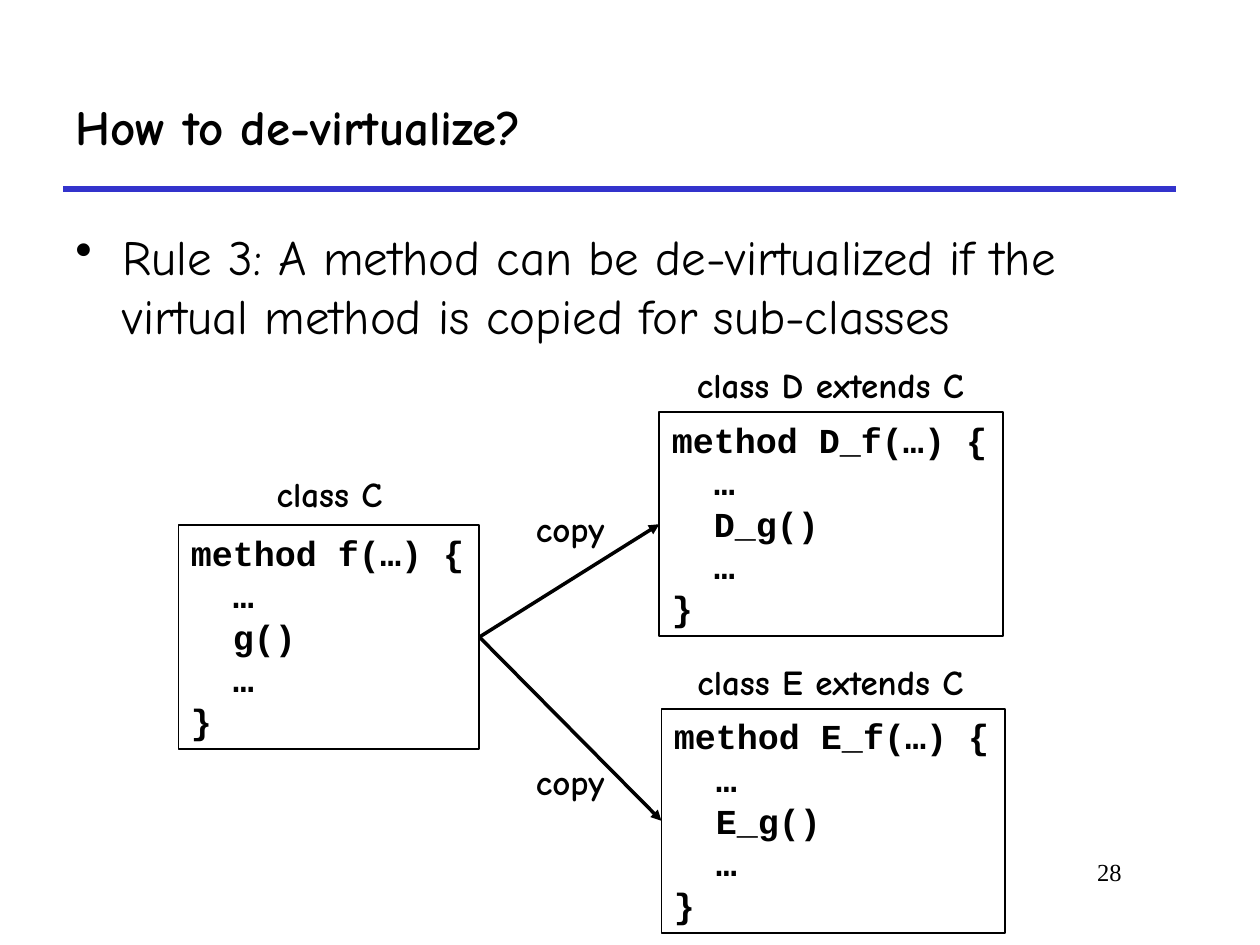
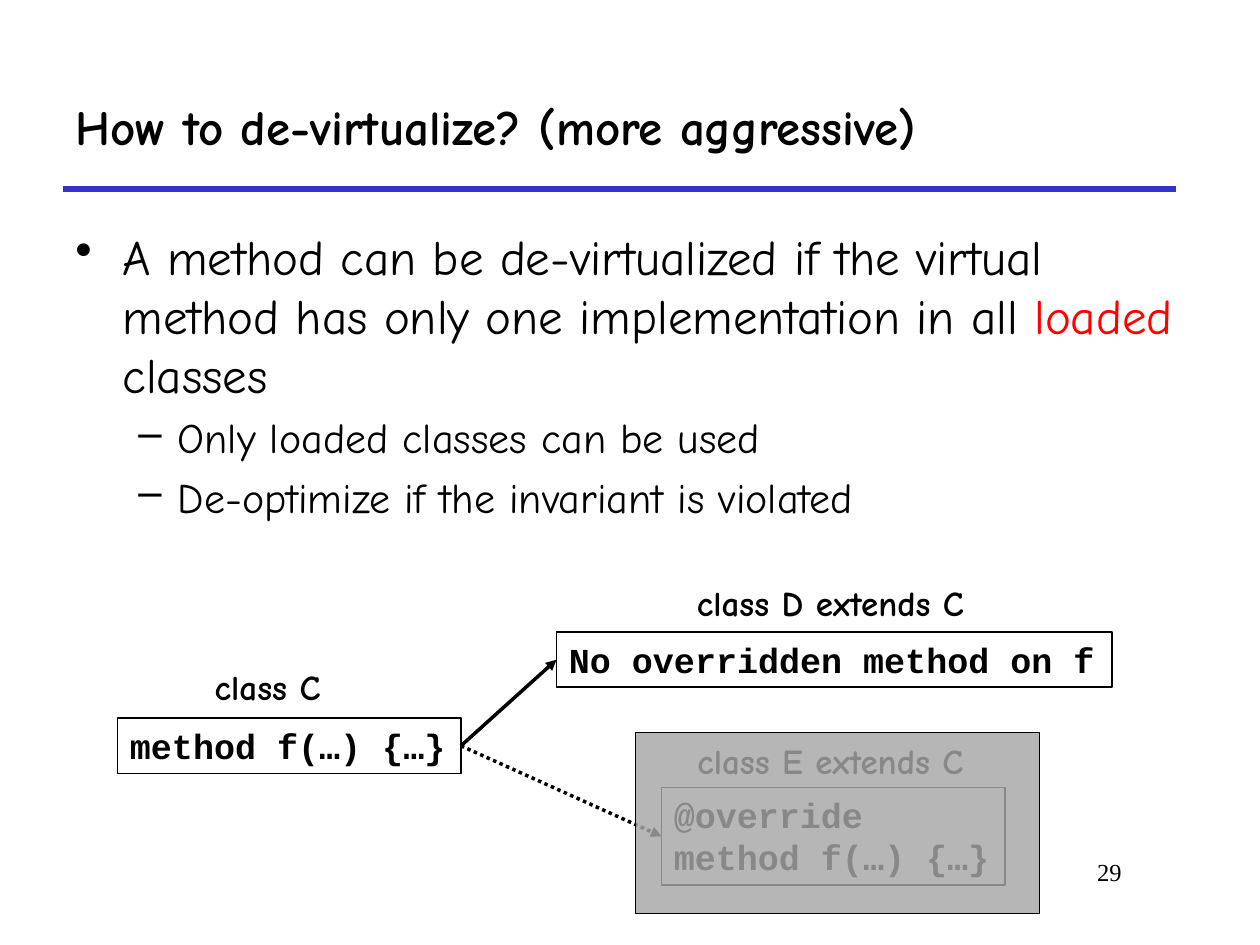
from lxml import etree
from pptx import Presentation
from pptx.dml.color import RGBColor
from pptx.enum.dml import MSO_LINE
from pptx.enum.shapes import MSO_CONNECTOR, MSO_SHAPE
from pptx.enum.text import MSO_ANCHOR, PP_ALIGN
from pptx.oxml.ns import qn
from pptx.util import Inches, Pt

STRAIGHT = MSO_CONNECTOR.STRAIGHT
RECTANGLE = MSO_SHAPE.RECTANGLE
DOTTED = MSO_LINE.ROUND_DOT
TOP, MIDDLE = MSO_ANCHOR.TOP, MSO_ANCHOR.MIDDLE
LEFT, CENTER, RIGHT = PP_ALIGN.LEFT, PP_ALIGN.CENTER, PP_ALIGN.RIGHT
LEFT_SITE, RIGHT_SITE = 1, 3

BLACK = RGBColor(0x00, 0x00, 0x00)
RED = RGBColor(0xFF, 0x00, 0x00)
RULE_BLUE = RGBColor(0x33, 0x33, 0xCC)
VEIL_GREY = RGBColor(0xA6, 0xA6, 0xA6)
HAND, CODE, SERIF = "Comic Neue", "Courier New", "Times New Roman"

prs = Presentation()
prs.slide_width, prs.slide_height = Inches(10), Inches(7.5)
COL = prs.slide_width / 120
ROW = prs.slide_height / 90

# Bullet sign, size, left margin and hanging indent in columns, space before
LEVELS = [("•", 28, 4.5, 4.5, 0), ("–", 24, 9.75, 3.75, 5)]
LABEL_WIDTH, LABEL_HEIGHT = 30, 5.25

SLIDES = [
    {
        "title": "How to de-virtualize?",
        "points": [(0, [("Rule 3: A method can be de-virtualized if the "
                         "virtual method is copied for sub-classes", BLACK)])],
        # Label, its centre and top, then box left, box top and code
        "classes": [
            ("class C", 31.4, 44.4, 17, 50,
             ["method f(…) {", "  …", "  g()", "  …", "}"]),
            ("class D extends C", 79.1, 34, 62.8, 39.25,
             ["method D_f(…) {", "  …", "  D_g()", "  …", "}"]),
            ("class E extends C", 79.1, 62.3, 63, 67.5,
             ["method E_f(…) {", "  …", "  E_g()", "  …", "}"]),
        ],
        "arrow_labels": [("copy", 54.3, 47.7), ("copy", 54.3, 71.8)],
        "unloaded": False,
    },
    {
        "title": "How to de-virtualize? (more aggressive)",
        "points": [
            (0, [("A method can be de-virtualized if the virtual method has "
                  "only one implementation in all ", BLACK),
                 ("loaded ", RED), ("classes", BLACK)]),
            (1, [("Only loaded classes can be used", BLACK)]),
            (1, [("De-optimize if the invariant is violated", BLACK)]),
        ],
        "classes": [
            ("class C", 25.5, 62.8, 11.2, 68.4, ["method f(…) {…}"]),
            ("class D extends C", 79.1, 54.8, 53, 60.2,
             ["No overridden method on f"]),
            ("class E extends C", 79.1, 69.8, 63, 75,
             ["@override", "method f(…) {…}"]),
        ],
        "arrow_labels": [],
        "unloaded": True,
    },
]


def put_text(slide, cells, lines, face, size, bold=True, align=LEFT,
             anchor=TOP, framed=False, wrap=False):
    """Place lines of text; cells is left, top, width, height on the grid."""
    left, top, width, height = cells
    frame = [round(v) for v in
             (left * COL, top * ROW, width * COL, height * ROW)]
    if framed:
        box = slide.shapes.add_shape(RECTANGLE, *frame)
        box.shadow.inherit = False
        box.fill.background()
        box.line.color.rgb = BLACK
        box.line.width = Pt(1)
    else:
        box = slide.shapes.add_textbox(*frame)
    text = box.text_frame
    text.word_wrap = wrap
    text.vertical_anchor = anchor
    text.text = "\n".join(lines)
    for paragraph in text.paragraphs:
        paragraph.alignment = align
        for run in paragraph.runs:
            run.font.name, run.font.size = face, Pt(size)
            run.font.bold = bold
            run.font.color.rgb = BLACK
    return box


def style_line(connector, color, width):
    connector.line.color.rgb = color
    connector.line.width = Pt(width)
    properties = connector._element.spPr
    etree.SubElement(properties, qn("a:effectLst"))
    return properties.find(qn("a:ln"))


for number, content in enumerate(SLIDES, start=28):
    slide = prs.slides.add_slide(prs.slide_layouts[6])
    rule = slide.shapes.add_connector(
        STRAIGHT, round(6 * COL), round(18 * ROW),
        round(112 * COL), round(18 * ROW))
    style_line(rule, RULE_BLUE, 3)
    put_text(slide, (6, 6, 106, 12), [content["title"]], HAND, 28,
             anchor=MIDDLE, wrap=True)

    points = put_text(slide, (6, 21, 109, 58), [], HAND, 28, wrap=True)
    for index, (level, pieces) in enumerate(content["points"]):
        sign, size, margin, hang, before = LEVELS[level]
        text = points.text_frame
        point = text.paragraphs[0] if index == 0 else text.add_paragraph()
        point.level = level
        if before:
            point.space_before = Pt(before)
        properties = point._p.get_or_add_pPr()
        properties.set("marL", str(round(margin * COL)))
        properties.set("indent", str(round(-hang * COL)))
        etree.SubElement(properties, qn("a:buChar"), char=sign)
        for words, color in pieces:
            run = point.add_run()
            run.text = words
            run.font.name, run.font.size = HAND, Pt(size)
            run.font.color.rgb = color

    put_text(slide, (91, 81, 17, 6), [str(number)], SERIF, 14,
             bold=False, align=RIGHT, wrap=True)

    class_boxes = []
    labels = list(content["arrow_labels"])
    for label, center, label_top, left, top, code in content["classes"]:
        width = 2.4 + 2.02 * max(len(line) for line in code)
        height = 1.25 + 4.02 * len(code)
        class_boxes.append(put_text(slide, (left, top, width, height), code,
                                    CODE, 20, framed=True))
        labels.append((label, center, label_top))
    for label, center, top in labels:
        put_text(slide, (center - LABEL_WIDTH / 2, top, LABEL_WIDTH,
                         LABEL_HEIGHT), [label], HAND, 20, align=CENTER)

    base, *subclasses = class_boxes
    for subclass in subclasses:
        arrow = slide.shapes.add_connector(STRAIGHT, 0, 0, 0, 0)
        arrow.begin_connect(base, RIGHT_SITE)
        arrow.end_connect(subclass, LEFT_SITE)
        if content["unloaded"] and subclass is subclasses[-1]:
            arrow.line.dash_style = DOTTED
        line = style_line(arrow, BLACK, 2)
        etree.SubElement(line, qn("a:tailEnd"), type="triangle")

    if content["unloaded"]:
        veil = slide.shapes.add_shape(
            RECTANGLE, round(60.5 * COL), round(69.75 * ROW),
            round(38.5 * COL), round(17.25 * ROW))
        veil.shadow.inherit = False
        veil.fill.solid()
        veil.fill.fore_color.rgb = VEIL_GREY
        veil.line.color.rgb = BLACK
        veil.line.width = Pt(0.75)
        tint = veil._element.spPr.find(qn("a:solidFill"))[0]
        etree.SubElement(tint, qn("a:alpha"), val="82000")

prs.save("out.pptx")
